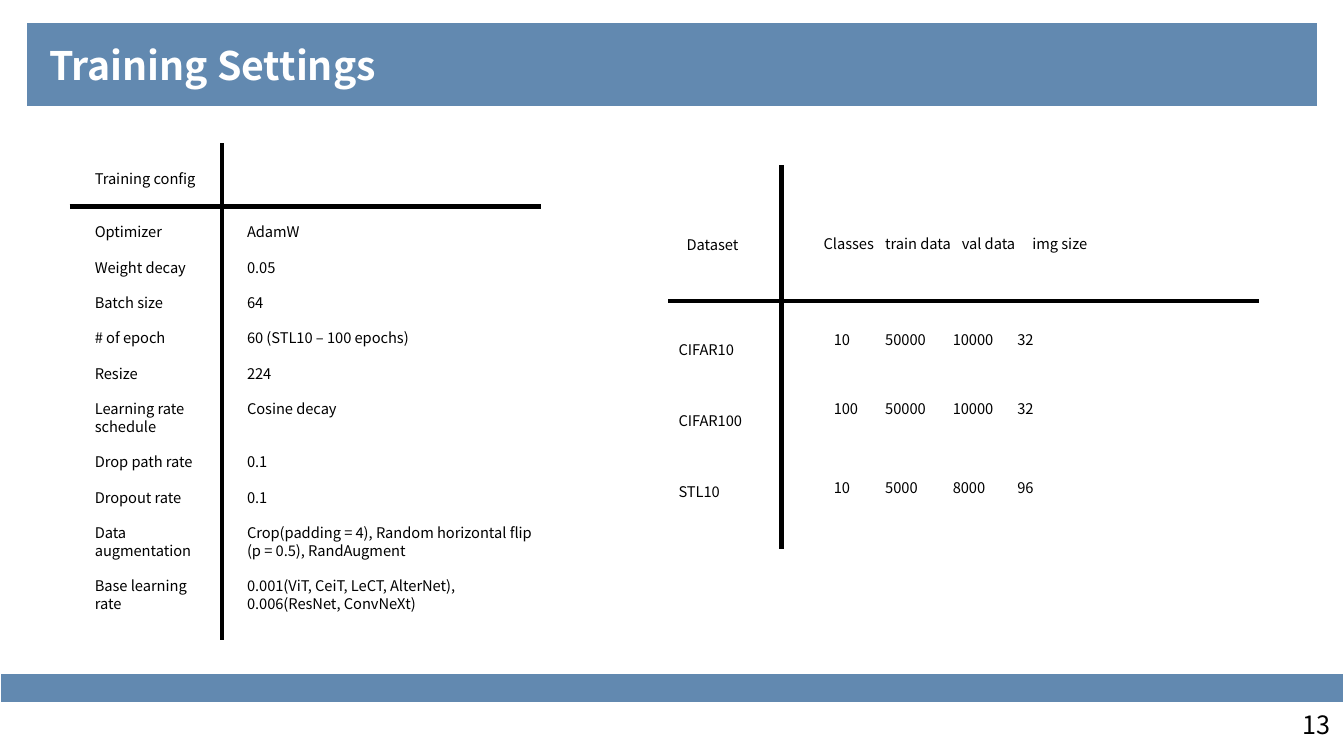
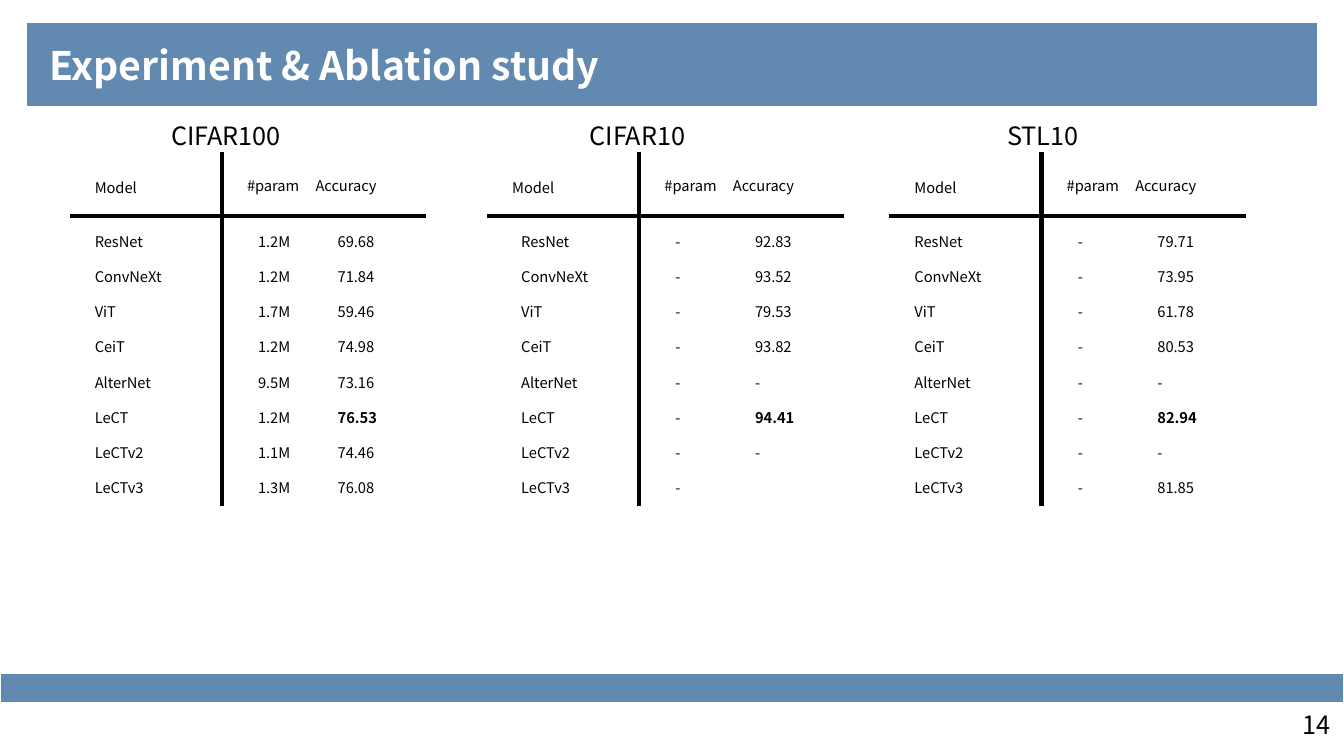
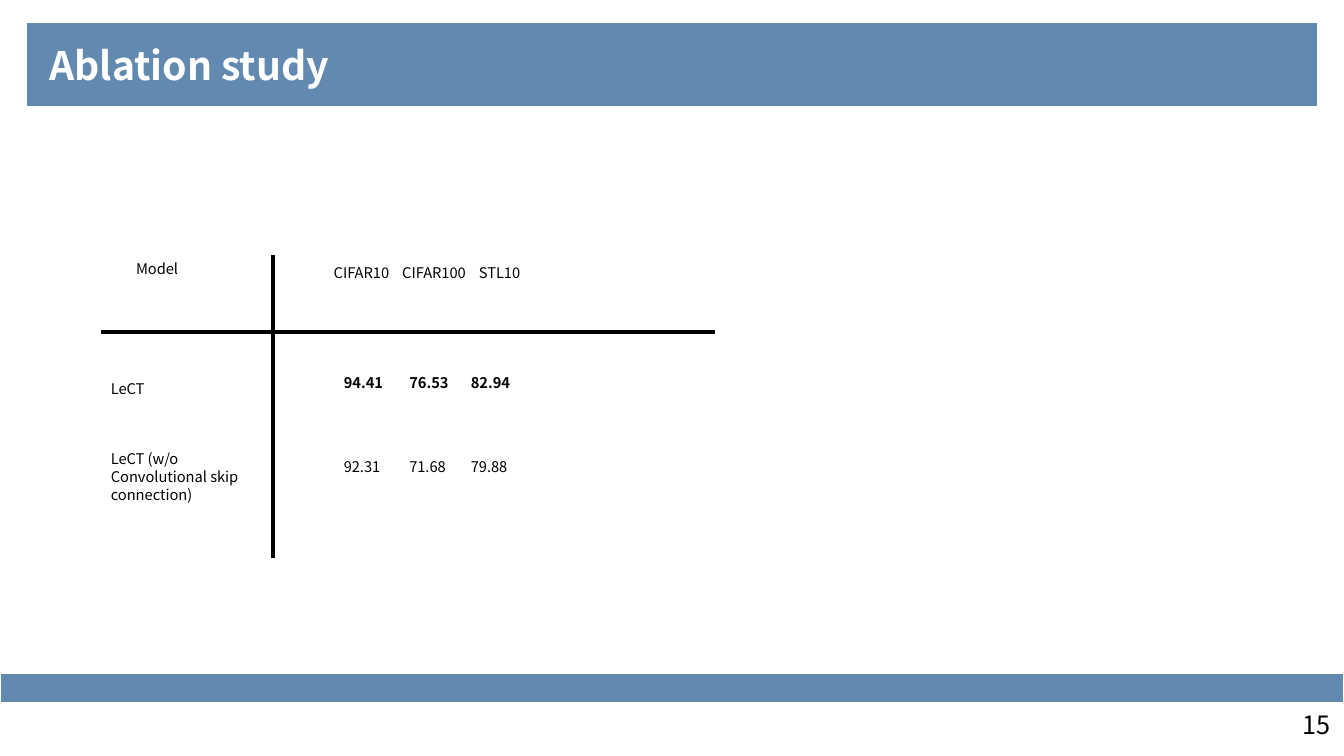
"""Build the three slides on training settings and ablation results."""
from dataclasses import dataclass
from itertools import cycle

from lxml import etree
from pptx import Presentation
from pptx import util as u
from pptx.dml import color
from pptx.enum import shapes, text
from pptx.oxml import ns

Inches = u.Inches
COLORS = {"band": "336699", "white": "FFFFFF", "black": "000000"}
FONT = "Noto Sans CJK KR"
BAND_ALPHA = 77
RULE_PT = 3
CELL_SPACING = 0.84
PLAIN_TABLE = "{2D5ABB26-0587-4C30-8999-92F81FD0307C}"
MODELS = ("ResNet", "ConvNeXt", "ViT", "CeiT", "AlterNet", "LeCT", "LeCTv2", "LeCTv3")
BEST_ROW = MODELS.index("LeCT")
DASHES = ("-",) * len(MODELS)


@dataclass(frozen=True)
class Column:
    """One table column: header, cells and their insets in inches."""
    width: float
    head: str
    cells: tuple[str, ...]
    head_pad: float = 0.25
    pad: float = 0.25
    head_top: float = 0.27
    tops: tuple[float, ...] = (0.17,)
    right: float = 0
    bold_row: int | None = None


@dataclass(frozen=True)
class Grid:
    """A table ruled only under its header and after its first column."""
    left: float
    top: float
    head_height: float
    row_heights: tuple[float, ...]
    columns: tuple[Column, ...]
    caption: str = ""
    caption_left: float = 0


@dataclass(frozen=True)
class Page:
    """A slide with its title, number and tables."""
    title: str
    number: int
    grids: tuple[Grid, ...]


def rgb(name: str) -> color.RGBColor:
    """Return a palette colour."""
    return color.RGBColor.from_string(COLORS[name])


def write(tf, content: str, *, size: float = 10.5, ink: str = "black",
          bold: bool = False, spacing: float = 1.0) -> None:
    """Fill a text frame, one paragraph per line."""
    tf.word_wrap = True
    for i, line in enumerate(content.split("\n")):
        p = tf.paragraphs[0] if i == 0 else tf.add_paragraph()
        p.alignment = text.PP_ALIGN.LEFT
        p.line_spacing = spacing
        r = p.add_run()
        r.text = line
        r.font.name = FONT
        r.font.size = u.Pt(size)
        r.font.bold = bold
        r.font.color.rgb = rgb(ink)


def paint_band(sp) -> None:
    """Give a shape the translucent band look."""
    sp.fill.solid()
    sp.fill.fore_color.rgb = rgb("band")
    clr = sp.fill._xPr.find(".//" + ns.qn("a:srgbClr"))
    etree.SubElement(clr, ns.qn("a:alpha"), val=str(BAND_ALPHA * 1000))
    sp.line.color.rgb = rgb("white")
    sp.line.width = u.Pt(1)


def add_text(s, left: float, top: float, width: float, height: float,
             content: str, **fmt) -> None:
    """Add a text box."""
    sp = s.shapes.add_textbox(*map(Inches, (left, top, width, height)))
    write(sp.text_frame, content, **fmt)


def add_rule(s, x1: float, y1: float, x2: float, y2: float) -> None:
    """Add a straight black rule."""
    sp = s.shapes.add_connector(shapes.MSO_CONNECTOR.STRAIGHT,
                                *map(Inches, (x1, y1, x2, y2)))
    sp.line.color.rgb = rgb("black")
    sp.line.width = u.Pt(RULE_PT)
    etree.SubElement(sp._element.spPr, ns.qn("a:effectLst"))


def add_frame(s, page: Page) -> None:
    """Add the title band, the footer band and the page number."""
    sp = s.shapes.title
    sp.left, sp.top, sp.width, sp.height = map(Inches, (0.26, 0.22, 12.81, 0.84))
    paint_band(sp)
    tf = sp.text_frame
    tf.auto_size = text.MSO_AUTO_SIZE.NONE
    tf.vertical_anchor = text.MSO_ANCHOR.MIDDLE
    tf.margin_left = Inches(0.23)
    write(tf, page.title, size=28, ink="white", bold=True)

    sp = s.shapes.add_shape(shapes.MSO_SHAPE.RECTANGLE,
                            *map(Inches, (0, 6.68, 13.33, 0.29)))
    sp.shadow.inherit = False
    paint_band(sp)
    add_text(s, 12.82, 6.99, 0.51, 0.4, str(page.number), size=18)


def format_cell(cell, content: str, pad: float, top: float, right: float,
                bold: bool) -> None:
    """Clear the cell fill, then place its text."""
    cell.fill.background()
    if not content:
        return
    cell.vertical_anchor = text.MSO_ANCHOR.TOP
    cell.margin_left, cell.margin_top = Inches(pad), Inches(top)
    cell.margin_right, cell.margin_bottom = Inches(right), 0
    write(cell.text_frame, content, bold=bold, spacing=CELL_SPACING)


def add_grid(s, grid: Grid) -> None:
    """Add a table, its two rules and its optional caption."""
    heights = (grid.head_height, *grid.row_heights)
    width = sum(col.width for col in grid.columns)
    table = s.shapes.add_table(len(heights), len(grid.columns), Inches(grid.left),
                               Inches(grid.top), Inches(width),
                               Inches(sum(heights))).table
    table.first_row = table.horz_banding = False
    table._tbl.tblPr.find(ns.qn("a:tableStyleId")).text = PLAIN_TABLE
    for row, height in zip(table.rows, heights):
        row.height = Inches(height)

    for c, col in enumerate(grid.columns):
        table.columns[c].width = Inches(col.width)
        format_cell(table.cell(0, c), col.head, col.head_pad, col.head_top, 0, False)
        for r, (content, top) in enumerate(zip(col.cells, cycle(col.tops))):
            format_cell(table.cell(r + 1, c), content, col.pad, top, col.right,
                        r == col.bold_row)

    rule_x = grid.left + grid.columns[0].width
    rule_y = grid.top + grid.head_height
    add_rule(s, grid.left, rule_y, grid.left + width, rule_y)
    add_rule(s, rule_x, grid.top, rule_x, grid.top + sum(heights))
    if grid.caption:
        add_text(s, grid.caption_left, grid.top - 0.37, 1.55, 0.4, grid.caption, size=18)


def result_grid(caption: str, caption_left: float, left: float,
                params: tuple[str, ...], accuracy: tuple[str, ...],
                name_pad: float = 0.25) -> Grid:
    """Describe the results on one dataset."""
    return Grid(left, 1.51, 0.63, (0.35,) * 7 + (0.43,), (
        Column(1.51, "Model", MODELS, pad=name_pad),
        Column(0.83, "#param", params, pad=0.36, head_top=0.25),
        Column(1.2, "Accuracy", accuracy, 0.1, 0.32, 0.25, bold_row=BEST_ROW),
    ), caption, caption_left)


CONFIG = Grid(0.69, 1.42, 0.63, (0.35,) * 5 + (0.53,) + (0.35,) * 2 + (0.53, 0.79), (
    Column(1.51, "Training config", (
        "Optimizer", "Weight decay", "Batch size", "# of epoch", "Resize",
        "Learning rate schedule", "Drop path rate", "Dropout rate",
        "Data augmentation", "Base learning rate"), right=0.2),
    Column(3.17, "", (
        "AdamW", "0.05", "64", "60 (STL10 – 100 epochs)", "224", "Cosine decay",
        "0.1", "0.1",
        "Crop(padding = 4), Random horizontal flip\n(p = 0.5), RandAugment",
        "0.001(ViT, CeiT, LeCT, AlterNet),\n0.006(ResNet, ConvNeXt)")),
))

DATA_TOPS = (0.3, 0.28, 0.36)
DATASETS = Grid(6.63, 1.64, 1.35, (0.7, 0.7, 1.06), (
    Column(1.12, "Dataset", ("CIFAR10", "CIFAR100", "STL10"), 0.18, 0.1, 0.7, (0.4,)),
    Column(0.95, "Classes", ("10", "100", "10"), 0.42, 0.52, 0.69, DATA_TOPS),
    Column(0.75, "train data", ("50000", "50000", "5000"), 0.08, 0.08, 0.69, DATA_TOPS),
    Column(0.64, "val data", ("10000", "10000", "8000"), 0.09, 0, 0.69, DATA_TOPS),
    Column(2.4, "img size", ("32", "32", "96"), 0.15, 0, 0.69, DATA_TOPS),
))

SCORE_TOPS = (0.42, 0.49)
ABLATION = Grid(1, 2.53, 0.76, (0.77, 1.48), (
    Column(1.71, "Model", ("LeCT", "LeCT (w/o\nConvolutional skip connection)"),
           0.35, 0.1, 0.05, (0.48, 0.41), 0.1),
    Column(1.21, "CIFAR10", ("94.41", "92.31"), 0.6, 0.7, 0.09, SCORE_TOPS, bold_row=0),
    Column(0.75, "CIFAR100", ("76.53", "71.68"), 0.07, 0.14, 0.09, SCORE_TOPS, bold_row=0),
    Column(2.42, "STL10", ("82.94", "79.88"), 0.08, 0, 0.09, SCORE_TOPS, bold_row=0),
))

RESULTS = (
    result_grid("CIFAR100", 1.6, 0.69,
                ("1.2M", "1.2M", "1.7M", "1.2M", "9.5M", "1.2M", "1.1M", "1.3M"),
                ("69.68", "71.84", "59.46", "74.98", "73.16", "76.53", "74.46", "76.08")),
    result_grid("CIFAR10", 5.75, 4.83, DASHES,
                ("92.83", "93.52", "79.53", "93.82", "-", "94.41", "-", ""), 0.34),
    result_grid("STL10", 9.89, 8.82, DASHES,
                ("79.71", "73.95", "61.78", "80.53", "-", "82.94", "-", "81.85")),
)

PAGES = (
    Page("Training Settings", 13, (CONFIG, DATASETS)),
    Page("Experiment & Ablation study", 14, RESULTS),
    Page("Ablation study", 15, (ABLATION,)),
)


def main() -> None:
    """Build and save the presentation."""
    prs = Presentation()
    prs.slide_width, prs.slide_height = Inches(13.33), Inches(7.5)
    for page in PAGES:
        s = prs.slides.add_slide(prs.slide_layouts.get_by_name("Title Only"))
        add_frame(s, page)
        for grid in page.grids:
            add_grid(s, grid)
    prs.save("out.pptx")


if __name__ == "__main__":
    main()
